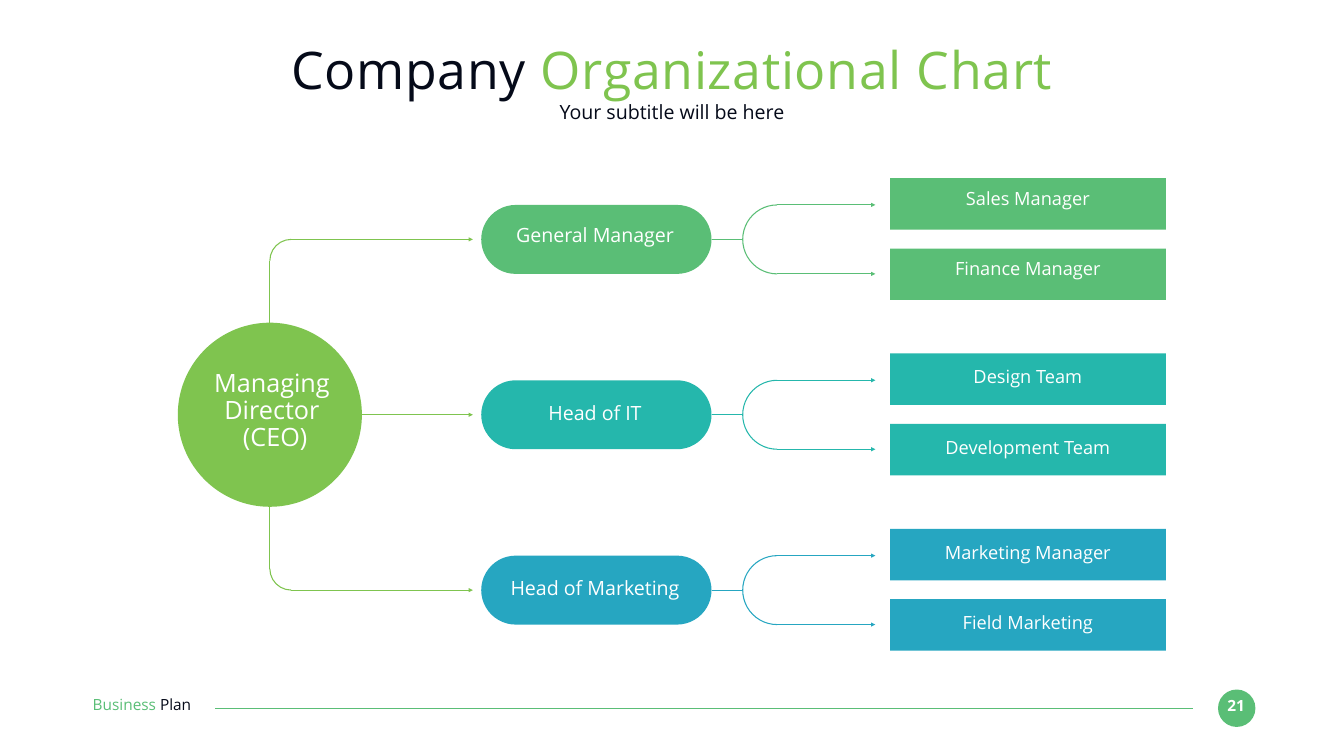
from dataclasses import dataclass

from lxml.etree import SubElement
from pptx import Presentation
from pptx.dml.color import RGBColor
from pptx.enum.shapes import MSO_CONNECTOR as Connector, MSO_SHAPE as Preset
from pptx.enum.text import MSO_ANCHOR as Anchor, MSO_AUTO_SIZE as AutoSize, PP_ALIGN as Align
from pptx.oxml.ns import qn
from pptx.util import Pt

FONT = "Open Sans"
INK, WHITE = "050A19", "FFFFFF"
LIME, GREEN, TEAL, BLUE = "7FC44F", "5ABE76", "25B7AC", "26A6C1"


@dataclass
class Box:
    left: float
    top: float
    width: float
    height: float


@dataclass
class Run:
    text: str
    color: str


@dataclass
class Branch:
    head: str
    reports: tuple[str, str]
    color: str
    label_rise: float
    report_inset: float


BRANCHES = (
    Branch("General Manager", ("Sales Manager", "Finance Manager"), GREEN, 20, 16.5),
    Branch("Head of IT", ("Design Team", "Development Team"), TEAL, 15.5, 21),
    Branch("Head of Marketing", ("Marketing Manager", "Field Marketing"), BLUE, 17, 21),
)
MIDDLE_Y, BRANCH_PITCH = 592.5, 250.5
DIRECTOR = Box(254, 461, 263, 263)
DIRECTOR_X = DIRECTOR.left + DIRECTOR.width / 2
CORNER = 61
HEAD_LEFT, HEAD_WIDTH, HEAD_HEIGHT = 687.5, 329, 98.5
FORK_LEFT = 1061
REPORT_LEFT, REPORT_WIDTH, REPORT_HEIGHT = 1271.5, 394, 73.5
REPORT_OFFSETS = (-87.5, 13)
LABEL_WIDTH = 277
QUARTER = 54
ARC_LEFT = (QUARTER, 3 * QUARTER)
ARC_TOP_LEFT = (2 * QUARTER, 3 * QUARTER)
ARC_BOTTOM_LEFT = (QUARTER, 2 * QUARTER)


def rgb(color: str) -> RGBColor:
    return RGBColor.from_string(color)


def points(box: Box) -> list:
    return [Pt(value) for value in (box.left, box.top, box.width, box.height)]


def add_block(slide, preset, box: Box, color: str):
    shape = slide.shapes.add_shape(preset, *points(box))
    shape.shadow.inherit = False
    shape.fill.solid()
    shape.fill.fore_color.rgb = rgb(color)
    shape.line.fill.background()
    return shape


def add_arc(slide, box: Box, angles: tuple, color: str) -> None:
    shape = slide.shapes.add_shape(Preset.ARC, *points(box))
    shape.shadow.inherit = False
    shape.adjustments[0], shape.adjustments[1] = angles
    shape.fill.background()
    shape.line.color.rgb = rgb(color)
    shape.line.width = Pt(1.5)


def add_line(slide, start: tuple, end: tuple, color: str, arrow: bool = False):
    line = slide.shapes.add_connector(Connector.STRAIGHT, *map(Pt, start + end))
    line.line.color.rgb = rgb(color)
    line.line.width = Pt(1.5)
    if arrow:
        SubElement(line.line._get_or_add_ln(), qn("a:headEnd"), type="triangle")
    SubElement(line._element.spPr, qn("a:effectLst"))
    return line


def write_paragraph(paragraph, runs: list[Run], size: float, align=Align.CENTER,
                    spacing: float = 0.9, bold: bool = False) -> None:
    paragraph.alignment = align
    paragraph.line_spacing = spacing
    for item in runs:
        run = paragraph.add_run()
        run.text = item.text
        run.font.name = FONT
        run.font.size = Pt(size)
        run.font.bold = bold
        run.font.color.rgb = rgb(item.color)


def clear_margins(text_frame) -> None:
    text_frame.word_wrap = True
    text_frame.margin_left = text_frame.margin_right = 0
    text_frame.margin_top = text_frame.margin_bottom = 0


def add_label(slide, box: Box, lines: list[list[Run]], size: float,
              align=Align.CENTER, bold: bool = False) -> None:
    text_frame = slide.shapes.add_textbox(*points(box)).text_frame
    clear_margins(text_frame)
    text_frame.auto_size = AutoSize.SHAPE_TO_FIT_TEXT
    for index, runs in enumerate(lines):
        paragraph = text_frame.add_paragraph() if index else text_frame.paragraphs[0]
        write_paragraph(paragraph, runs, size, align, bold=bold)


def fill_placeholder(shape, box: Box, runs: list[Run], size: float, anchor, spacing: float) -> None:
    shape.left, shape.top, shape.width, shape.height = points(box)
    text_frame = shape.text_frame
    clear_margins(text_frame)
    text_frame.auto_size = AutoSize.NONE
    text_frame.vertical_anchor = anchor
    write_paragraph(text_frame.paragraphs[0], runs, size, spacing=spacing)


def add_heading(slide) -> None:
    title, subtitle = slide.shapes.title, slide.placeholders[1]
    fill_placeholder(title, Box(132, 52.5, 1656, 91.5),
                     [Run("Company ", INK), Run("Organizational Chart", LIME)], 74, Anchor.MIDDLE, 1.0)
    for run in title.text_frame.paragraphs[0].runs:
        properties = run.font._element
        properties.set("cap", "none")
        properties.set("spc", "100")
    fill_placeholder(subtitle, Box(132, 146, 1656, 35.5),
                     [Run("Your subtitle will be here", INK)], 28, Anchor.TOP, 0.9)


def add_footer(slide) -> None:
    add_block(slide, Preset.OVAL, Box(1740, 985, 53.5, 53.5), GREEN)
    add_label(slide, Box(1744.5, 997, 42.5, 27), [[Run("21", WHITE)]], 22, bold=True)
    add_line(slide, (1704, 1011.5), (307.5, 1011.5), GREEN)
    add_label(slide, Box(132.5, 996.5, 186.5, 27),
              [[Run("Business ", GREEN), Run("Plan", INK)]], 22, Align.LEFT)


def add_director(slide) -> None:
    add_block(slide, Preset.OVAL, DIRECTOR, LIME)
    add_label(slide, Box(268, 529, 241, 131),
              [[Run("Managing Director", WHITE)], [Run(" (CEO)", WHITE)]], 36)
    tip_x, turn_x = 675.5, DIRECTOR_X + CORNER / 2
    upper, lower = MIDDLE_Y - BRANCH_PITCH, MIDDLE_Y + BRANCH_PITCH
    add_line(slide, (tip_x, MIDDLE_Y), (DIRECTOR.left + DIRECTOR.width, MIDDLE_Y), LIME, arrow=True)
    for y, edge, inward, arc_top, angles in (
        (upper, DIRECTOR.top, 1, upper, ARC_TOP_LEFT),
        (lower, DIRECTOR.top + DIRECTOR.height, -1, lower - CORNER, ARC_BOTTOM_LEFT),
    ):
        add_line(slide, (DIRECTOR_X, edge), (DIRECTOR_X, y + inward * CORNER / 2), LIME)
        add_arc(slide, Box(DIRECTOR_X, arc_top, CORNER, CORNER), angles, LIME)
        add_line(slide, (tip_x, y), (turn_x, y), LIME, arrow=True)


def add_branch(slide, branch: Branch, y: float) -> None:
    half = HEAD_HEIGHT / 2
    head = add_block(slide, Preset.ROUNDED_RECTANGLE,
                     Box(HEAD_LEFT, y - half, HEAD_WIDTH, HEAD_HEIGHT), branch.color)
    head.adjustments[0] = 0.5
    add_label(slide, Box(711.5, y - branch.label_rise, LABEL_WIDTH, 34), [[Run(branch.head, WHITE)]], 28)
    stem = add_line(slide, (HEAD_LEFT + HEAD_WIDTH, y), (FORK_LEFT, y), branch.color)
    stem.begin_connect(head, 3)
    add_arc(slide, Box(FORK_LEFT, y - half, HEAD_HEIGHT, HEAD_HEIGHT), ARC_LEFT, branch.color)
    for report, offset, arrow_y in zip(branch.reports, REPORT_OFFSETS, (y - half, y + half)):
        add_line(slide, (1250.5, arrow_y), (FORK_LEFT + half, arrow_y), branch.color, arrow=True)
        top = y + offset
        add_block(slide, Preset.RECTANGLE, Box(REPORT_LEFT, top, REPORT_WIDTH, REPORT_HEIGHT), branch.color)
        add_label(slide, Box(1330, top + branch.report_inset, LABEL_WIDTH, 32), [[Run(report, WHITE)]], 26)


def main() -> None:
    presentation = Presentation()
    presentation.slide_width, presentation.slide_height = Pt(1920), Pt(1080)
    slide = presentation.slides.add_slide(presentation.slide_layouts[2])
    add_footer(slide)
    add_heading(slide)
    add_director(slide)
    for index, branch in enumerate(BRANCHES):
        add_branch(slide, branch, MIDDLE_Y + (index - 1) * BRANCH_PITCH)
    presentation.save("out.pptx")


if __name__ == "__main__":
    main()
